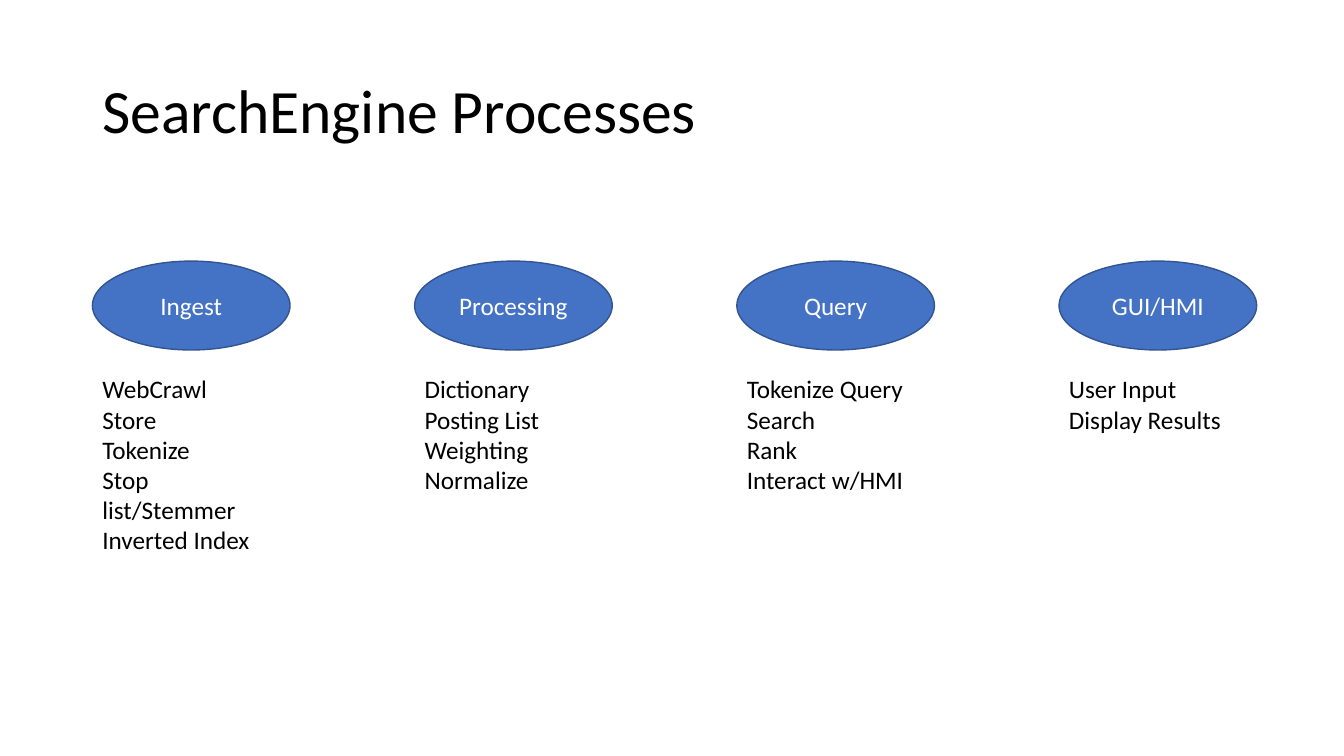
from dataclasses import dataclass

from pptx import Presentation
from pptx.dml.color import RGBColor as RGB
from pptx.enum.shapes import MSO_SHAPE as Shape
from pptx.enum.text import MSO_ANCHOR as Anchor, MSO_AUTO_SIZE as AutoSize, PP_ALIGN as Align
from pptx.util import Cm, Pt


@dataclass(frozen=True)
class Theme:
    """Colours and type of the slide."""
    font: str = "Calibri"
    title_size: int = 44
    body_size: int = 18
    text: str = "000000"
    label: str = "FFFFFF"
    fill: str = "4472C4"
    line: str = "325491"


THEME = Theme()
STAGES = {
    "Ingest": ["WebCrawl", "Store", "Tokenize", "Stop list/Stemmer", "Inverted Index"],
    "Processing": ["Dictionary", "Posting List", "Weighting", "Normalize"],
    "Query": ["Tokenize Query", "Search", "Rank", "Interact w/HMI"],
    "GUI/HMI": ["User Input", "Display Results"],
}


def write(tf, text, size, color, align=Align.LEFT):
    """Fill a text frame and format all its runs."""
    tf.word_wrap = True
    tf.text = text
    for p in tf.paragraphs:
        p.alignment = align
        for r in p.runs:
            r.font.name = THEME.font
            r.font.size = Pt(size)
            r.font.color.rgb = RGB.from_string(color)


def add_title(s, text, left, top, width, height):
    """Place the heading, centred vertically in its box."""
    tf = s.shapes.add_textbox(Cm(left), Cm(top), Cm(width), Cm(height)).text_frame
    write(tf, text, THEME.title_size, THEME.text)
    tf.vertical_anchor = Anchor.MIDDLE
    tf.paragraphs[0].line_spacing = 0.9


def add_stage(s, name, steps, left, top, width, oval_height=2.24, gap=0.47):
    """Place a stage oval with its list of steps below."""
    sp = s.shapes.add_shape(Shape.OVAL, Cm(left), Cm(top), Cm(width), Cm(oval_height))
    sp.shadow.inherit = False
    sp.fill.solid()
    sp.fill.fore_color.rgb = RGB.from_string(THEME.fill)
    sp.line.color.rgb = RGB.from_string(THEME.line)
    sp.line.width = Pt(1)
    write(sp.text_frame, name, THEME.body_size, THEME.label, Align.CENTER)
    sp.text_frame.vertical_anchor = Anchor.MIDDLE

    list_top = top + oval_height + gap
    list_height = 0.25 + 0.77 * len(steps)
    tf = s.shapes.add_textbox(Cm(left), Cm(list_top), Cm(width), Cm(list_height)).text_frame
    write(tf, "\n".join(steps), THEME.body_size, THEME.text)
    tf.auto_size = AutoSize.SHAPE_TO_FIT_TEXT


def add_stages(s, stages, left, top, width, stage_width=4.98):
    """Spread the stages evenly across the given width."""
    step = (width - stage_width) / (len(stages) - 1)
    for i, (name, steps) in enumerate(stages.items()):
        add_stage(s, name, steps, left + i * step, top, stage_width)


def build():
    """Build and save the slide."""
    prs = Presentation()
    prs.slide_width, prs.slide_height = Cm(33.87), Cm(19.05)
    s = prs.slides.add_slide(prs.slide_layouts[6])
    add_title(s, "SearchEngine Processes", 2.33, 1.01, 29.21, 3.68)
    add_stages(s, STAGES, 2.33, 6.58, 29.34)
    prs.save("out.pptx")


build()
